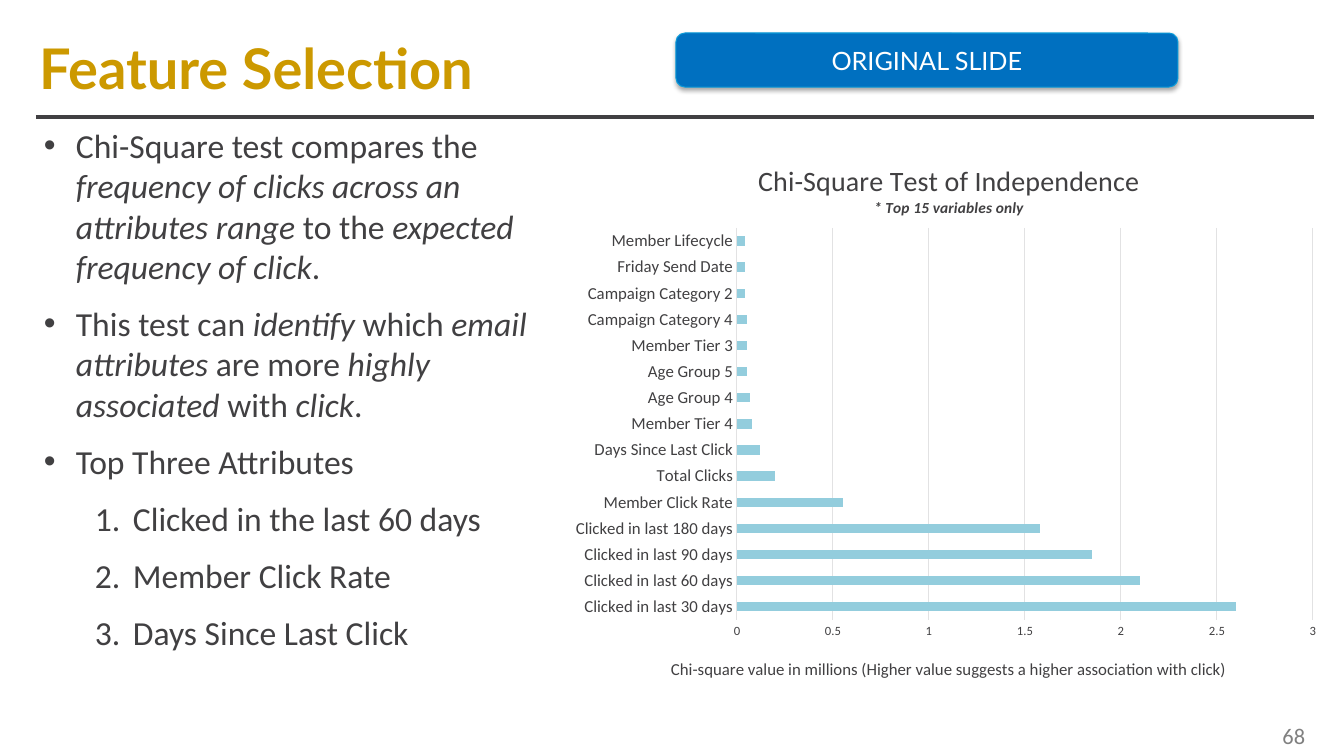
from lxml import etree
from pptx import Presentation
from pptx.chart.data import CategoryChartData
from pptx.dml.color import RGBColor
from pptx.enum.chart import XL_CHART_TYPE, XL_TICK_MARK
from pptx.enum.shapes import MSO_CONNECTOR, MSO_SHAPE
from pptx.enum.text import MSO_ANCHOR, PP_ALIGN
from pptx.oxml.ns import qn
from pptx.util import Emu, Pt

BAR = XL_CHART_TYPE.BAR_CLUSTERED
NO_TICK = XL_TICK_MARK.NONE
STRAIGHT = MSO_CONNECTOR.STRAIGHT
ROUND = MSO_SHAPE.ROUNDED_RECTANGLE
TOP, MIDDLE = MSO_ANCHOR.TOP, MSO_ANCHOR.MIDDLE
LEFT, CENTER, RIGHT = PP_ALIGN.LEFT, PP_ALIGN.CENTER, PP_ALIGN.RIGHT

SCALE = 914400 / 100.8
COLORS = {"ink": "414042", "gold": "CC9900", "gray": "808080", "grid": "E2E2E3",
          "bar": "93CDDD", "blue": "0070C0", "edge": "0A9AD8", "white": "FFFFFF",
          "black": "000000"}
CHART_BOX = (560, 136, 772, 560)
POINTS = [
    "Chi-Square test compares the _frequency of clicks across an attributes range_"
    " to the _expected frequency of click_.",
    "This test can _identify_ which _email attributes_ are more _highly associated_"
    " with _click_.",
    "Top Three Attributes",
]
RANKS = ["Clicked in the last 60 days", "Member Click Rate", "Days Since Last Click"]
SCORES = {
    "Clicked in last 30 days": 2.6, "Clicked in last 60 days": 2.1,
    "Clicked in last 90 days": 1.85, "Clicked in last 180 days": 1.58,
    "Member Click Rate": 0.55, "Total Clicks": 0.2, "Days Since Last Click": 0.12,
    "Member Tier 4": 0.08, "Age Group 4": 0.07, "Age Group 5": 0.05,
    "Member Tier 3": 0.05, "Campaign Category 4": 0.05, "Campaign Category 2": 0.04,
    "Friday Send Date": 0.04, "Member Lifecycle": 0.04,
}


def px(*vals):
    """Turn pixel lengths into EMU."""
    return [Emu(round(val * SCALE)) for val in vals]


def rgb(name):
    """Look up a colour by name."""
    return RGBColor.from_string(COLORS[name])


def style(font, size, color="ink", face="Calibri", bold=False, italic=False):
    """Set the look of a font."""
    font.size, font.name = Pt(size), face
    font.bold, font.italic = bold, italic
    font.color.rgb = rgb(color)


def stroke(line, color, width):
    """Set the colour and width of a line."""
    line.color.rgb = rgb(color)
    line.width = Pt(width)


def add_text(slide, box, text, align=LEFT, inset=None, **look):
    """Add a one-line text box centred on its height."""
    frame = slide.shapes.add_textbox(*px(*box)).text_frame
    frame.word_wrap, frame.vertical_anchor = True, MIDDLE
    if inset is not None:
        frame.margin_left = frame.margin_right = inset
        frame.margin_top = frame.margin_bottom = inset
    frame.text = text
    frame.paragraphs[0].alignment = align
    style(frame.paragraphs[0].runs[0].font, **look)


def add_rule(slide, left, right, y):
    """Add the rule under the title."""
    rule = slide.shapes.add_connector(STRAIGHT, *px(left, y, right, y))
    stroke(rule.line, "ink", 3)
    etree.SubElement(rule._element.spPr, qn("a:effectLst"))


def add_badge(slide, box, text):
    """Add the rounded badge with its soft shadow."""
    badge = slide.shapes.add_shape(ROUND, *px(*box))
    badge.fill.solid()
    badge.fill.fore_color.rgb = rgb("blue")
    stroke(badge.line, "edge", 0.75)
    badge.shadow.inherit = False
    effects = badge._element.spPr.find(qn("a:effectLst"))
    shade = etree.SubElement(effects, qn("a:outerShdw"), blurRad=str(Pt(3.1)),
                             dist=str(Pt(1.8)), dir="5400000", rotWithShape="0")
    tint = etree.SubElement(shade, qn("a:srgbClr"), val=COLORS["black"])
    etree.SubElement(tint, qn("a:alpha"), val="35000")
    frame = badge.text_frame
    frame.text, frame.vertical_anchor = text, MIDDLE
    frame.paragraphs[0].alignment = CENTER
    style(frame.paragraphs[0].runs[0].font, 18, "white", "Lato")


def add_item(para, text, left, hang, tag, **mark):
    """Fill a list item, with italics between underscores."""
    props = para._p.get_or_add_pPr()
    props.set("marL", str(px(left)[0]))
    props.set("indent", str(px(-hang)[0]))
    etree.SubElement(props, qn("a:buFont"), typeface="Arial" if tag == "a:buChar" else "+mj-lt")
    etree.SubElement(props, qn(tag), **mark)
    for spot, part in enumerate(text.split("_")):
        run = para.add_run()
        run.text = part
        style(run.font, 24, italic=spot % 2 == 1)


def add_list(slide, box):
    """Add the bullets and the numbered ranks."""
    frame = slide.shapes.add_textbox(*px(*box)).text_frame
    frame.word_wrap, frame.vertical_anchor = True, TOP
    for spot, text in enumerate(POINTS + RANKS):
        para = frame.add_paragraph() if spot else frame.paragraphs[0]
        if spot:
            para.space_before = Pt(12)
        if spot < len(POINTS):
            add_item(para, text, 32, 32, "a:buChar", char="•")
        else:
            add_item(para, text, 89, 38, "a:buAutoNum", type="arabicPeriod")


def place(parent, spot, left, top, size=None):
    """Pin a chart part to a place on the slide."""
    for old in parent.findall(qn("c:layout")):
        parent.remove(old)
    layout = etree.Element(qn("c:layout"))
    parent.insert(spot, layout)
    manual = etree.SubElement(layout, qn("c:manualLayout"))
    x, y, wide, high = CHART_BOX
    vals = {"x": (left - x) / wide, "y": (top - y) / high}
    if size:
        etree.SubElement(manual, qn("c:layoutTarget"), val="inner")
        vals.update(w=size[0] / wide, h=size[1] / high)
    for key in ("x", "y"):
        etree.SubElement(manual, qn(f"c:{key}Mode"), val="edge")
    for key, val in vals.items():
        etree.SubElement(manual, qn(f"c:{key}"), val=f"{val:.4f}")


def set_title(title, left, top, lines):
    """Write and place a chart or axis title."""
    frame = title.text_frame
    for spot, (text, look) in enumerate(lines):
        para = frame.add_paragraph() if spot else frame.paragraphs[0]
        para.text = text
        para.alignment = CENTER
        style(para.runs[0].font, **look)
    place(title._element, 1, left, top)


def add_bars(slide):
    """Add the bar chart of scores."""
    data = CategoryChartData()
    data.categories = list(SCORES)
    data.add_series("Series 1", list(SCORES.values()))
    chart = slide.shapes.add_chart(BAR, *px(*CHART_BOX), data).chart
    style(chart.font, 10)
    chart.has_legend = False
    chart.has_title = True
    set_title(chart.chart_title, 755, 159, [
        ("Chi-Square Test of Independence", {"size": 20}),
        ("* Top 15 variables only", {"size": 11, "bold": True, "italic": True})])
    plot = chart.plots[0]
    plot.gap_width, plot.vary_by_categories = 182, False
    fill = plot.series[0].format.fill
    fill.solid()
    fill.fore_color.rgb = rgb("bar")
    names, scale = chart.category_axis, chart.value_axis
    for axis, size in ((names, 12), (scale, 9)):
        axis.major_tick_mark = axis.minor_tick_mark = NO_TICK
        style(axis.tick_labels.font, size)
    names.has_major_gridlines = False
    stroke(names.format.line, "grid", 0.75)
    scale.minimum_scale, scale.maximum_scale, scale.major_unit = 0, 3, 0.5
    scale.format.line.fill.background()
    stroke(scale.major_gridlines.format.line, "grid", 0.75)
    scale.tick_labels.number_format = "General"
    scale.tick_labels.number_format_is_linked = False
    label = "Chi-square value in millions (Higher value suggests a higher association with click)"
    set_title(scale.axis_title, 668, 655, [(label, {"size": 12})])
    place(chart._chartSpace.chart.plotArea, 0, 737, 228, (576, 392))


def main():
    """Build the slide and save it."""
    deck = Presentation()
    deck.slide_width, deck.slide_height = px(1344, 756)
    slide = deck.slides.add_slide(deck.slide_layouts[6])
    add_rule(slide, 36, 1314, 117)
    add_text(slide, (39, 26, 1127, 83), "Feature Selection", inset=0,
             size=40, color="gold", face="Lato", bold=True)
    add_text(slide, (964, 716, 351, 40), "68", RIGHT, size=16, color="gray")
    add_bars(slide)
    add_list(slide, (34, 120, 552, 543))
    add_badge(slide, (676, 33, 502, 54), "ORIGINAL SLIDE")
    deck.save("out.pptx")


if __name__ == "__main__":
    main()
